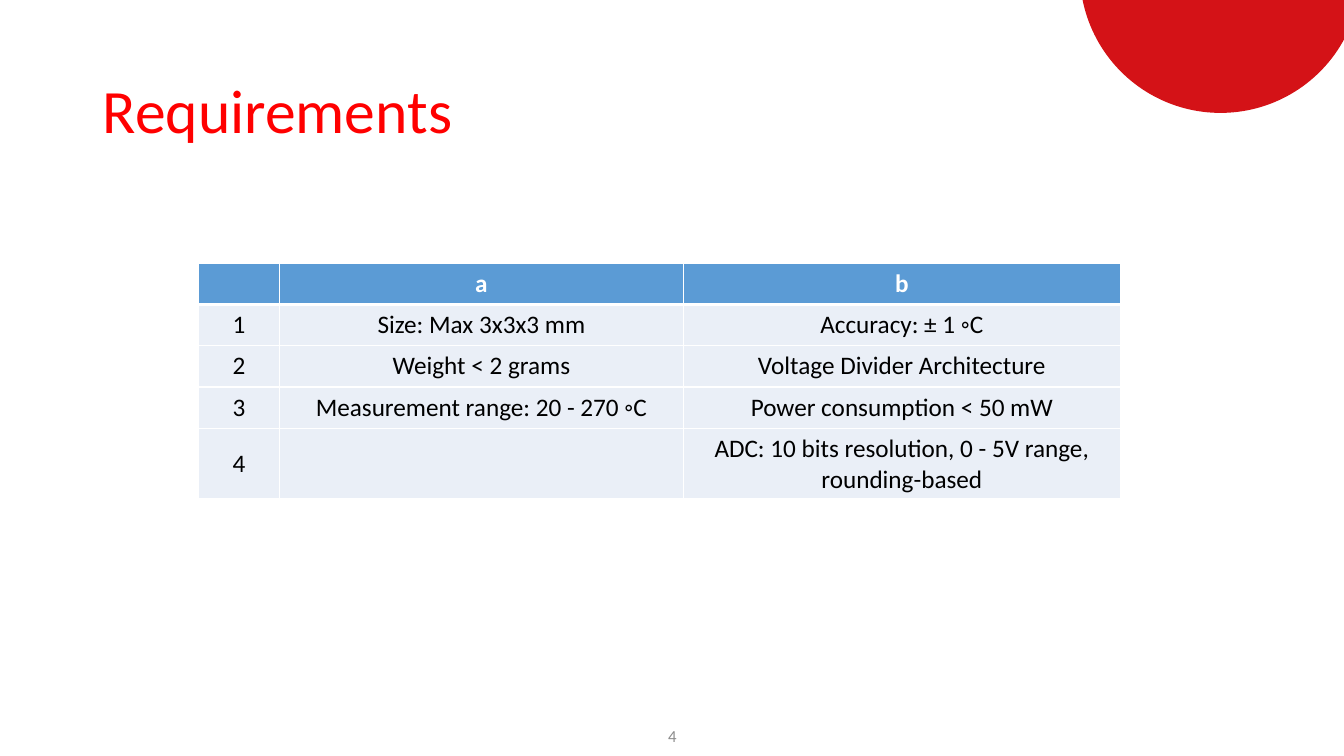
from lxml import etree
from pptx import Presentation
from pptx.dml.color import RGBColor
from pptx.enum import shapes, text
from pptx.oxml import ns
from pptx.util import Inches, Pt

FONT = "Calibri"
WHITE = RGBColor(0xFF, 0xFF, 0xFF)
BLACK = RGBColor(0x00, 0x00, 0x00)
RED = RGBColor(0xFF, 0x00, 0x00)
CIRCLE_RED = RGBColor(0xD4, 0x12, 0x17)
GRAY = RGBColor(0x8C, 0x8C, 0x8C)
HEADER_BLUE = RGBColor(0x5B, 0x9B, 0xD5)
BODY_BLUE = RGBColor(0xEA, 0xEF, 0xF7)

COLUMN_WIDTHS = [0.8, 4.01, 4.33]
ROW_HEIGHTS = [0.41, 0.41, 0.41, 0.41, 0.7]
REQUIREMENTS = [
    ["", "a", "b"],
    ["1", "Size: Max 3x3x3 mm", "Accuracy: ± 1 ◦C"],
    ["2", "Weight < 2 grams", "Voltage Divider Architecture"],
    ["3", "Measurement range: 20 - 270 ◦C", "Power consumption < 50 mW"],
    ["4", "", "ADC: 10 bits resolution, 0 - 5V range, rounding-based"],
]


def style_paragraph(p, size, color, align, bold=False):
    p.alignment = align
    p.font.name = FONT
    p.font.size = Pt(size)
    p.font.color.rgb = color
    p.font.bold = bold


def add_text(s, content, left, top, width, height, size, color, align):
    sp = s.shapes.add_textbox(Inches(left), Inches(top), Inches(width), Inches(height))
    tf = sp.text_frame
    tf.word_wrap = True
    tf.vertical_anchor = text.MSO_ANCHOR.MIDDLE
    p = tf.paragraphs[0]
    p.text = content
    style_paragraph(p, size, color, align)
    return p


def add_corner_circle(s):
    sp = s.shapes.add_shape(shapes.MSO_SHAPE.OVAL, Inches(10.71), Inches(-1.67),
                            Inches(2.79), Inches(2.79))
    sp.shadow.inherit = False
    sp.fill.solid()
    sp.fill.fore_color.rgb = CIRCLE_RED
    sp.line.fill.background()


def set_borders(cell, top, bottom):
    """Draw white cell borders; top and bottom widths are in points."""
    tc_pr = cell._tc.get_or_add_tcPr()
    for side, width in (("L", 1), ("R", 1), ("T", top), ("B", bottom)):
        ln = etree.SubElement(tc_pr, ns.qn(f"a:ln{side}"), w=str(Pt(width)))
        fill = etree.SubElement(ln, ns.qn("a:solidFill"))
        etree.SubElement(fill, ns.qn("a:srgbClr"), val=str(WHITE))


def add_requirements_table(s):
    table = s.shapes.add_table(
        len(REQUIREMENTS), len(COLUMN_WIDTHS), Inches(1.97), Inches(2.61),
        Inches(sum(COLUMN_WIDTHS)), Inches(sum(ROW_HEIGHTS))).table
    table.horz_banding = False
    for column, width in zip(table.columns, COLUMN_WIDTHS):
        column.width = Inches(width)
    for i, (row, height) in enumerate(zip(table.rows, ROW_HEIGHTS)):
        row.height = Inches(height)
        header = i == 0
        for cell, content in zip(row.cells, REQUIREMENTS[i]):
            set_borders(cell, top=3 if i == 1 else 1, bottom=3 if header else 1)
            cell.fill.solid()
            cell.fill.fore_color.rgb = HEADER_BLUE if header else BODY_BLUE
            cell.vertical_anchor = text.MSO_ANCHOR.MIDDLE
            cell.text = content
            style_paragraph(cell.text_frame.paragraphs[0], 18,
                            WHITE if header else BLACK, text.PP_ALIGN.CENTER, header)


def main():
    prs = Presentation()
    prs.slide_width, prs.slide_height = Inches(13.33), Inches(7.5)
    s = prs.slides.add_slide(prs.slide_layouts[6])
    add_corner_circle(s)
    title = add_text(s, "Requirements", 0.92, 0.4, 11.5, 1.45, 44, RED, text.PP_ALIGN.LEFT)
    title.line_spacing = 0.9
    add_text(s, "4", 5.17, 7.1, 3, 0.4, 12, GRAY, text.PP_ALIGN.CENTER)
    add_requirements_table(s)
    prs.save("out.pptx")


if __name__ == "__main__":
    main()
